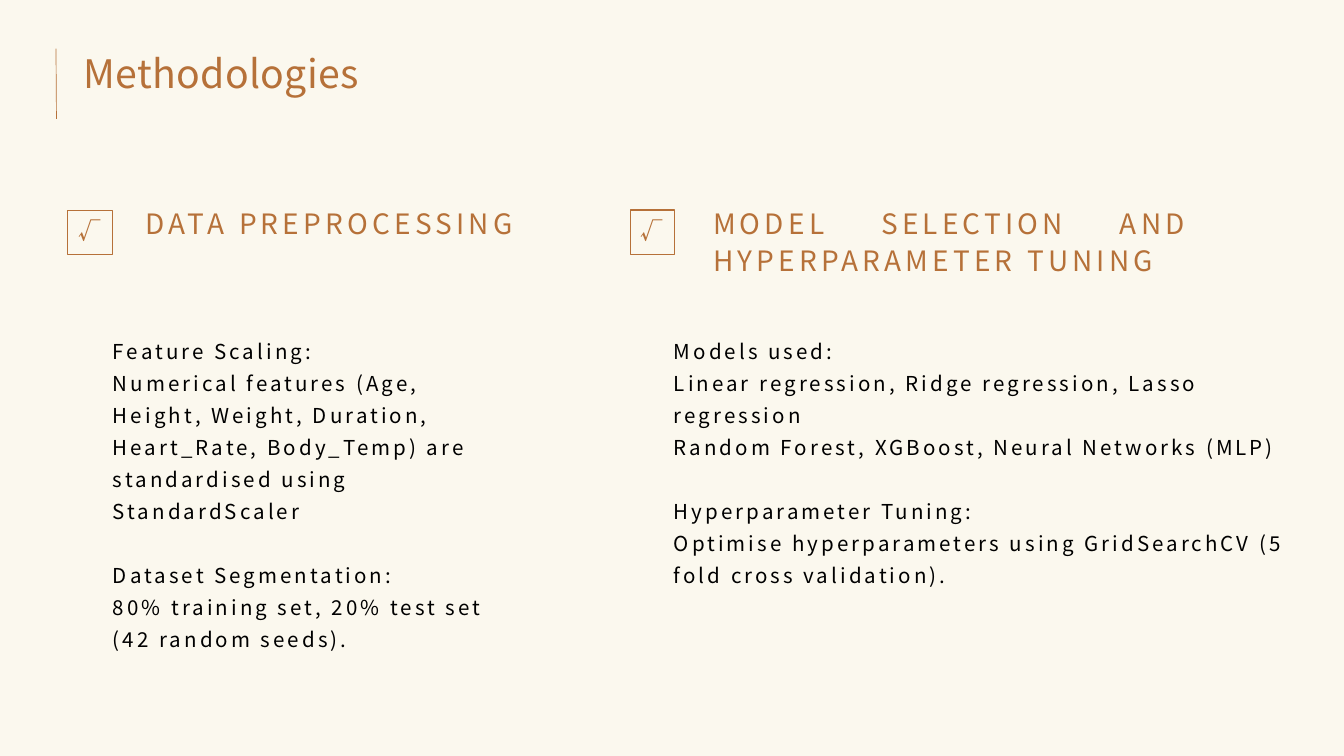
from pptx import Presentation
from pptx.dml.color import RGBColor
from pptx.enum import shapes, text
from pptx.oxml import xmlchemy as xml
from pptx.util import Pt

FONT = "Noto Sans CJK SC"
COPPER, CREAM, BLACK = "B67139", "FBF8EE", "000000"

TITLE = {"size": 42, "color": COPPER, "tracking": 0.4, "leading": 50.4}
HEADING = {"size": 30, "color": COPPER, "tracking": 4.5, "leading": 39.6,
           "align": text.PP_ALIGN.JUSTIFY}
BODY = {"size": 22, "color": BLACK, "tracking": 3.3, "leading": 34.3}
MARK = {"size": 24, "color": COPPER, "tracking": 3.6, "leading": 31.7,
        "align": text.PP_ALIGN.CENTER, "bold": True}

COLUMNS = [
    {"left": 72, "top": 224.6, "heading_box": (155.5, 217.4, 471.6, 38),
     "body_box": (121, 355, 416, 336),
     "heading": "DATA PREPROCESSING",
     "sections": [
         ["Feature Scaling:",
          "Numerical features (Age, Height, Weight, Duration, Heart_Rate, Body_Temp) "
          "are standardised using",
          "StandardScaler"],
         ["Dataset Segmentation:",
          "80% training set, 20% test set (42 random seeds)."]]},
    {"left": 674.6, "top": 224.2, "heading_box": (764, 217.4, 510.5, 117),
     "body_box": (722, 355, 700, 302),
     "heading": "MODEL SELECTION AND HYPERPARAMETER TUNING",
     "sections": [
         ["Models used:",
          "Linear regression, Ridge regression, Lasso regression",
          "Random Forest, XGBoost, Neural Networks (MLP)"],
         ["Hyperparameter Tuning:",
          "Optimise hyperparameters using GridSearchCV (5 fold cross validation)."]]},
]


def color(value):
    return RGBColor.from_string(value)


def set_all(target, values):
    for name, value in values.items():
        setattr(target, name, value)


class Designer:
    def __init__(self, page, font):
        self.page = page
        self.font = font
        page.background.fill.solid()
        page.background.fill.fore_color.rgb = color(CREAM)

    def place(self, shape, box):
        set_all(shape, dict(zip(("left", "top", "width", "height"), map(Pt, box))))

    def fill_text(self, shape, sections, style):
        frame = shape.text_frame
        set_all(frame, {"margin_left": 0, "margin_right": 0, "margin_top": 0,
                        "margin_bottom": 0, "word_wrap": True,
                        "auto_size": text.MSO_AUTO_SIZE.NONE,
                        "vertical_anchor": text.MSO_ANCHOR.TOP})
        lines = [(line, number > 0 and line == section[0])
                 for number, section in enumerate(sections) for line in section]
        for index, (line, starts_section) in enumerate(lines):
            para = frame.add_paragraph() if index else frame.paragraphs[0]
            set_all(para, {"alignment": style.get("align", text.PP_ALIGN.LEFT),
                           "line_spacing": Pt(style["leading"]),
                           "space_before": Pt(style["leading"] if starts_section else 0),
                           "space_after": Pt(0)})
            properties = para._p.get_or_add_pPr()
            properties.set("marL", "0")
            properties.set("indent", "0")
            properties.append(xml.OxmlElement("a:buNone"))
            span = para.add_run()
            span.text = line
            set_all(span.font, {"name": self.font, "size": Pt(style["size"]),
                                "bold": style.get("bold", False)})
            span.font.color.rgb = color(style["color"])
            span.font._element.set("spc", str(round(style["tracking"] * 100)))

    def placeholder(self, index, box, sections, style):
        shape = self.page.placeholders[index]
        self.place(shape, box)
        self.fill_text(shape, sections, style)

    def label(self, box, words, style):
        shape = self.page.shapes.add_textbox(*map(Pt, box))
        self.fill_text(shape, [[words]], style)

    def rule(self, start, end):
        line = self.page.shapes.add_connector(
            shapes.MSO_CONNECTOR.STRAIGHT, *map(Pt, start + end))
        line.line.color.rgb = color(COPPER)
        line.line.width = Pt(0.75)
        line._element.spPr.append(xml.OxmlElement("a:effectLst"))

    def checkbox(self, left, top):
        box = self.page.shapes.add_shape(
            shapes.MSO_SHAPE.RECTANGLE, *map(Pt, (left + 0.7, top + 0.7, 47.8, 47.8)))
        box.shadow.inherit = False
        box.fill.background()
        box.line.color.rgb = color(COPPER)
        box.line.width = Pt(1.4)
        self.label((left + 0.7, top + 5.1, 46.8, 31), "√", MARK)


def main():
    deck = Presentation()
    set_all(deck, {"slide_width": Pt(1440), "slide_height": Pt(810)})
    designer = Designer(deck.slides.add_slide(deck.slide_layouts[4]), FONT)
    designer.placeholder(0, (89.3, 52.5, 353.5, 50), [["Methodologies"]], TITLE)
    designer.rule((60, 52), (60.5, 127.5))
    for number, column in enumerate(COLUMNS):
        designer.checkbox(column["left"], column["top"])
        designer.placeholder(1 + 2 * number, column["heading_box"],
                             [[column["heading"]]], HEADING)
        designer.placeholder(2 + 2 * number, column["body_box"],
                             column["sections"], BODY)
    deck.save("out.pptx")


if __name__ == "__main__":
    main()
